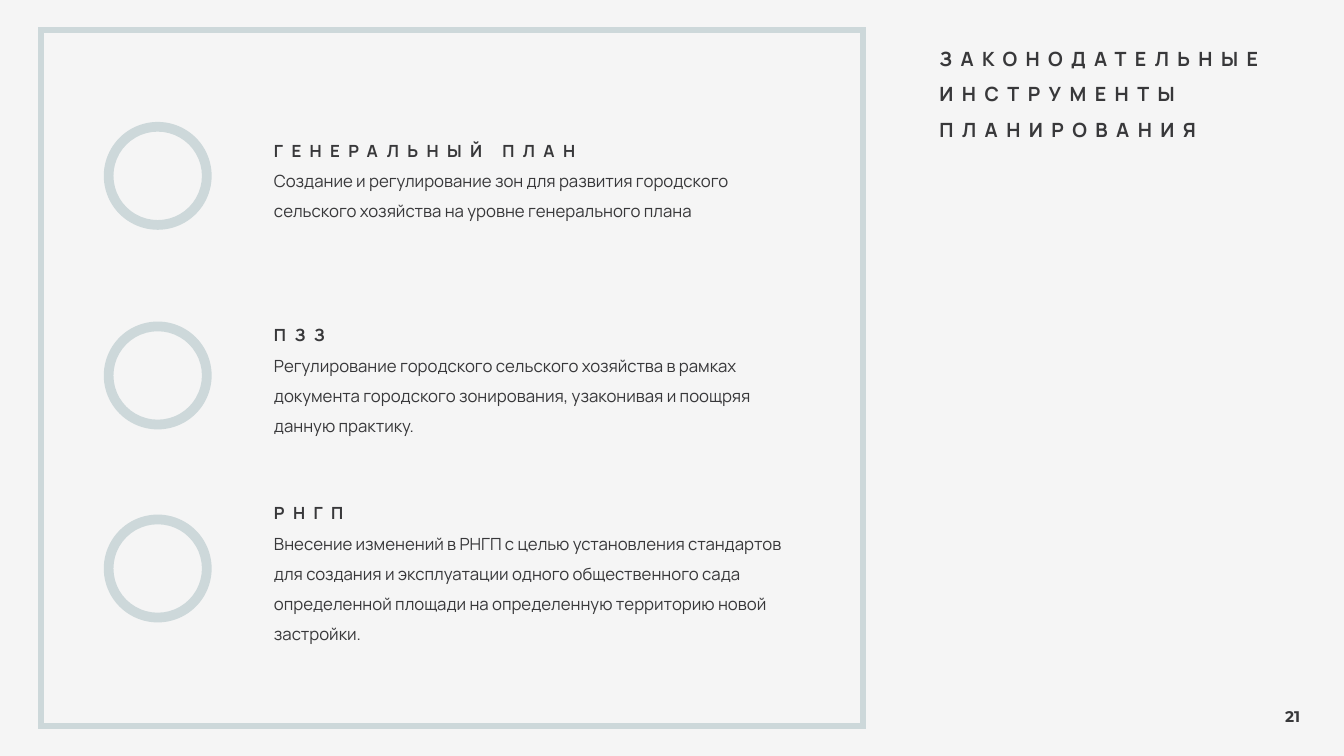
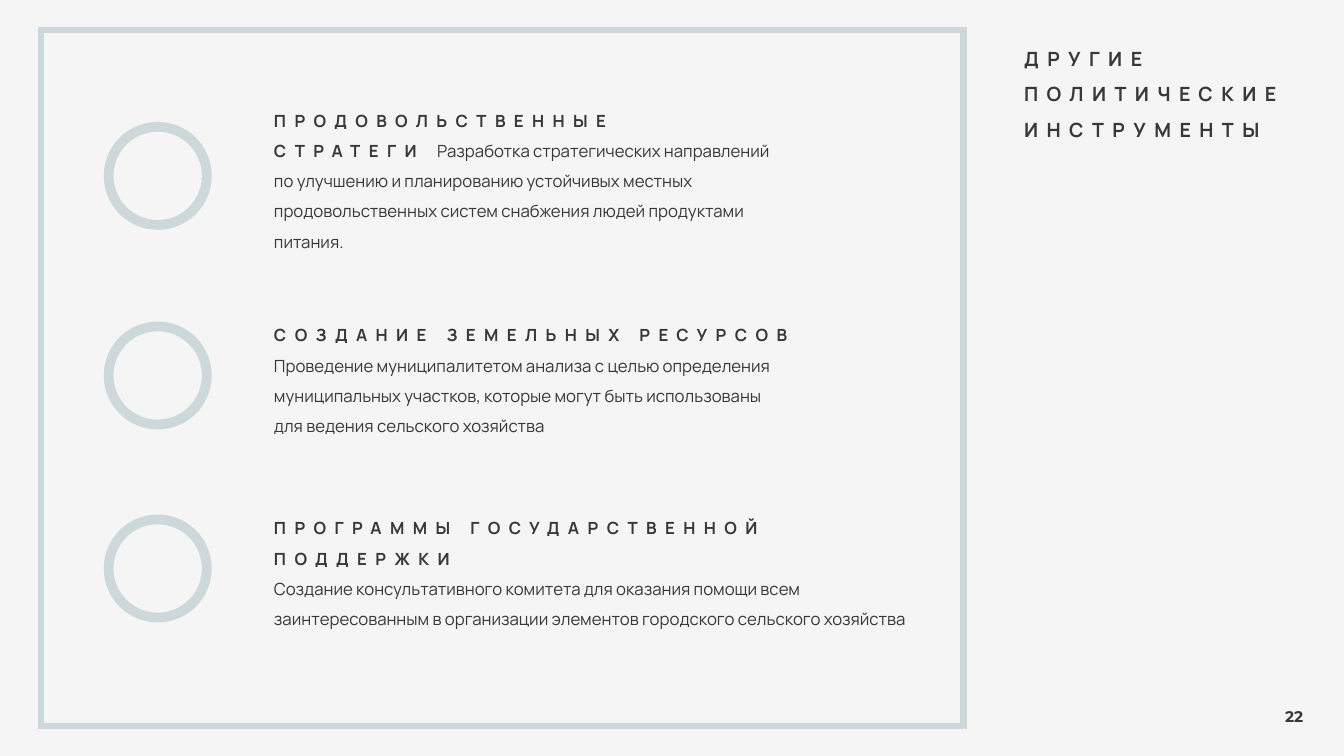
from dataclasses import dataclass

from lxml.etree import SubElement
from pptx import Presentation
from pptx.dml.color import RGBColor as Color
from pptx.enum.shapes import MSO_SHAPE as Preset
from pptx.enum.text import MSO_ANCHOR as Anchor, MSO_AUTO_SIZE as AutoSize, PP_ALIGN as Align
from pptx.oxml.ns import qn
from pptx.shapes.group import GroupShape
from pptx.slide import Slide
from pptx.text.text import TextFrame, _Paragraph as Paragraph
from pptx.util import Inches, Length, Pt


@dataclass(frozen=True)
class Theme:
    background: Color = Color.from_string("F5F5F5")
    ink: Color = Color.from_string("38383A")
    accent: Color = Color.from_string("CDD8DA")
    text_font: str = "Manrope"
    number_font: str = "Montserrat"
    title_size: float = 14
    text_size: float = 12
    number_size: float = 11
    tracking: float = 6
    line_spacing: float = 1.5
    frame_line: float = 4.5


@dataclass(frozen=True)
class Entry:
    heading: str
    body: str
    columns: float = 53
    rows: float = 13.1
    inline: bool = False


@dataclass(frozen=True)
class Page:
    number: int
    title: str
    title_column: float
    title_columns: float
    frame_columns: float
    entries: tuple[Entry, ...]


THEME = Theme()
GRID_COLUMNS, GRID_ROWS = 133.33, 75
CELL = Inches(0.1)
MARGIN_COLUMN, TOP_ROW, FRAME_ROWS = 4.1, 3, 69
RING_COLUMN, RING_SIZE, RING_THICKNESS = 10.3, 10.7, 0.09
TEXT_COLUMN = 26.2
ROW_CENTRES = (17.45, 37.25, 56.4)

PAGES = (
    Page(21, "ЗАКОНОДАТЕЛЬНЫЕ ИНСТРУМЕНТЫ ПЛАНИРОВАНИЯ", 92.2, 37, 81.5, (
        Entry("ГЕНЕРАЛЬНЫЙ ПЛАН",
              "Создание и регулирование зон для развития городского сельского "
              "хозяйства на уровне генерального плана", rows=10.1),
        Entry("ПЗЗ",
              "Регулирование городского сельского хозяйства в рамках документа "
              "городского зонирования, узаконивая и поощряя данную практику.", rows=10.1),
        Entry("РНГП",
              "Внесение изменений в РНГП с целью установления стандартов для создания "
              "и эксплуатации одного общественного сада определенной площади на "
              "определенную территорию новой застройки."),
    )),
    Page(22, "ДРУГИЕ ПОЛИТИЧЕСКИЕ ИНСТРУМЕНТЫ", 100.6, 32, 91.5, (
        Entry("ПРОДОВОЛЬСТВЕННЫЕ СТРАТЕГИ ",
              "Разработка стратегических направлений по улучшению и планированию "
              "устойчивых местных продовольственных систем снабжения людей "
              "продуктами питания.", columns=51.3, inline=True),
        Entry("СОЗДАНИЕ ЗЕМЕЛЬНЫХ РЕСУРСОВ",
              "Проведение муниципалитетом анализа с целью определения муниципальных "
              "участков, которые могут быть использованы для ведения сельского хозяйства"),
        Entry("ПРОГРАММЫ ГОСУДАРСТВЕННОЙ ПОДДЕРЖКИ",
              "Создание консультативного комитета для оказания помощи всем "
              "заинтересованным в организации элементов городского сельского хозяйства",
              columns=68.4, rows=10.1),
    )),
)


def cells(*counts: float) -> tuple[Length, ...]:
    return tuple(Length(round(count * CELL)) for count in counts)


def add_span(para: Paragraph, text: str, size: float, bold: bool = True,
             tracking: float = 0, font: str = THEME.text_font) -> None:
    span = para.add_run()
    span.text = text
    span.font.name = font
    span.font.size = Pt(size)
    span.font.bold = bold
    span.font.color.rgb = THEME.ink
    if tracking:
        span._r.get_or_add_rPr().set("spc", str(round(tracking * 100)))


def format_frame(text_frame: TextFrame, anchor: Anchor, wrap: bool = True) -> None:
    text_frame.word_wrap = wrap
    text_frame.vertical_anchor = anchor
    text_frame.auto_size = AutoSize.SHAPE_TO_FIT_TEXT


def draw_title(slide: Slide, page: Page) -> None:
    title = slide.shapes.title
    title.left, title.top, title.width, title.height = cells(
        page.title_column, TOP_ROW, page.title_columns, 11.6)
    format_frame(title.text_frame, Anchor.TOP)
    para = title.text_frame.paragraphs[0]
    para.alignment = Align.JUSTIFY
    para.line_spacing = THEME.line_spacing
    add_span(para, page.title, THEME.title_size, tracking=THEME.tracking)


def draw_number(slide: Slide, number: int) -> None:
    box = slide.shapes.add_textbox(*cells(126.5, 69.7, 4.1, 2.9))
    format_frame(box.text_frame, Anchor.TOP, wrap=False)
    add_span(box.text_frame.paragraphs[0], str(number), THEME.number_size,
             font=THEME.number_font)


def draw_frame(slide: Slide, columns: float) -> None:
    frame = slide.shapes.add_shape(
        Preset.RECTANGLE, *cells(MARGIN_COLUMN, TOP_ROW, columns, FRAME_ROWS))
    frame.shadow.inherit = False
    frame.fill.background()
    frame.line.color.rgb = THEME.accent
    frame.line.width = Pt(THEME.frame_line)
    SubElement(frame.line._get_or_add_ln(), qn("a:miter"), lim="800000")


def draw_ring(group: GroupShape, centre: float) -> None:
    ring = group.shapes.add_shape(
        Preset.DONUT, *cells(RING_COLUMN, centre - RING_SIZE / 2, RING_SIZE, RING_SIZE))
    ring.adjustments[0] = RING_THICKNESS
    ring.shadow.inherit = False
    ring.fill.solid()
    ring.fill.fore_color.rgb = THEME.accent
    ring.line.fill.background()


def draw_entry(slide: Slide, entry: Entry, centre: float) -> None:
    group = slide.shapes.add_group_shape()
    box = group.shapes.add_textbox(
        *cells(TEXT_COLUMN, centre - entry.rows / 2, entry.columns, entry.rows))
    format_frame(box.text_frame, Anchor.MIDDLE)
    heading = box.text_frame.paragraphs[0]
    body = heading if entry.inline else box.text_frame.add_paragraph()
    add_span(heading, entry.heading, THEME.text_size, tracking=THEME.tracking)
    add_span(body, entry.body, THEME.text_size, bold=False)
    for para in box.text_frame.paragraphs:
        para.line_spacing = THEME.line_spacing
    draw_ring(group, centre)


def main() -> None:
    deck = Presentation()
    deck.slide_width, deck.slide_height = cells(GRID_COLUMNS, GRID_ROWS)
    background = deck.slide_master.background.fill
    background.solid()
    background.fore_color.rgb = THEME.background
    title_only = deck.slide_layouts.get_by_name("Title Only")
    for page in PAGES:
        slide = deck.slides.add_slide(title_only)
        draw_title(slide, page)
        draw_number(slide, page.number)
        draw_frame(slide, page.frame_columns)
        for entry, centre in zip(page.entries, ROW_CENTRES):
            draw_entry(slide, entry, centre)
    deck.save("out.pptx")


if __name__ == "__main__":
    main()
